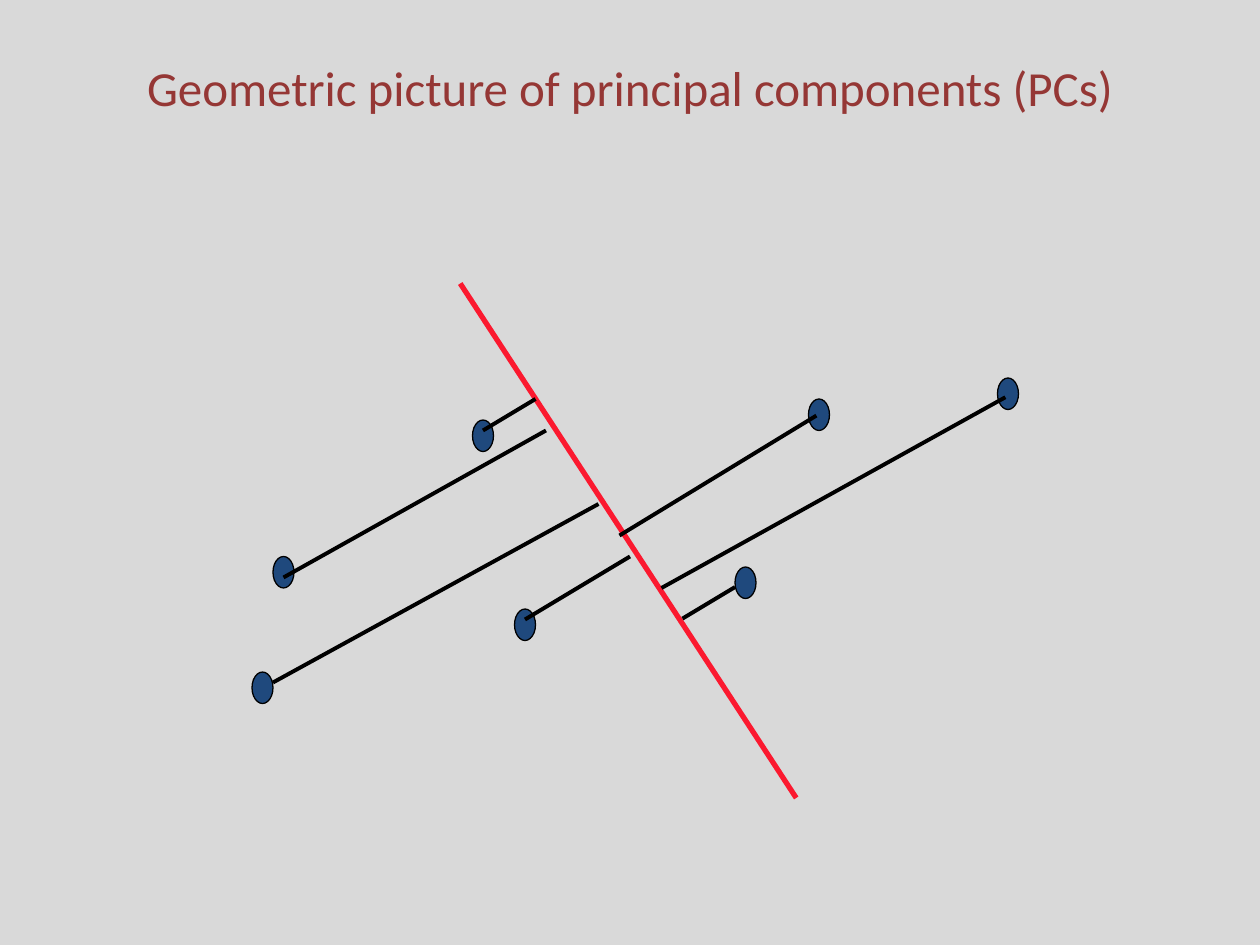
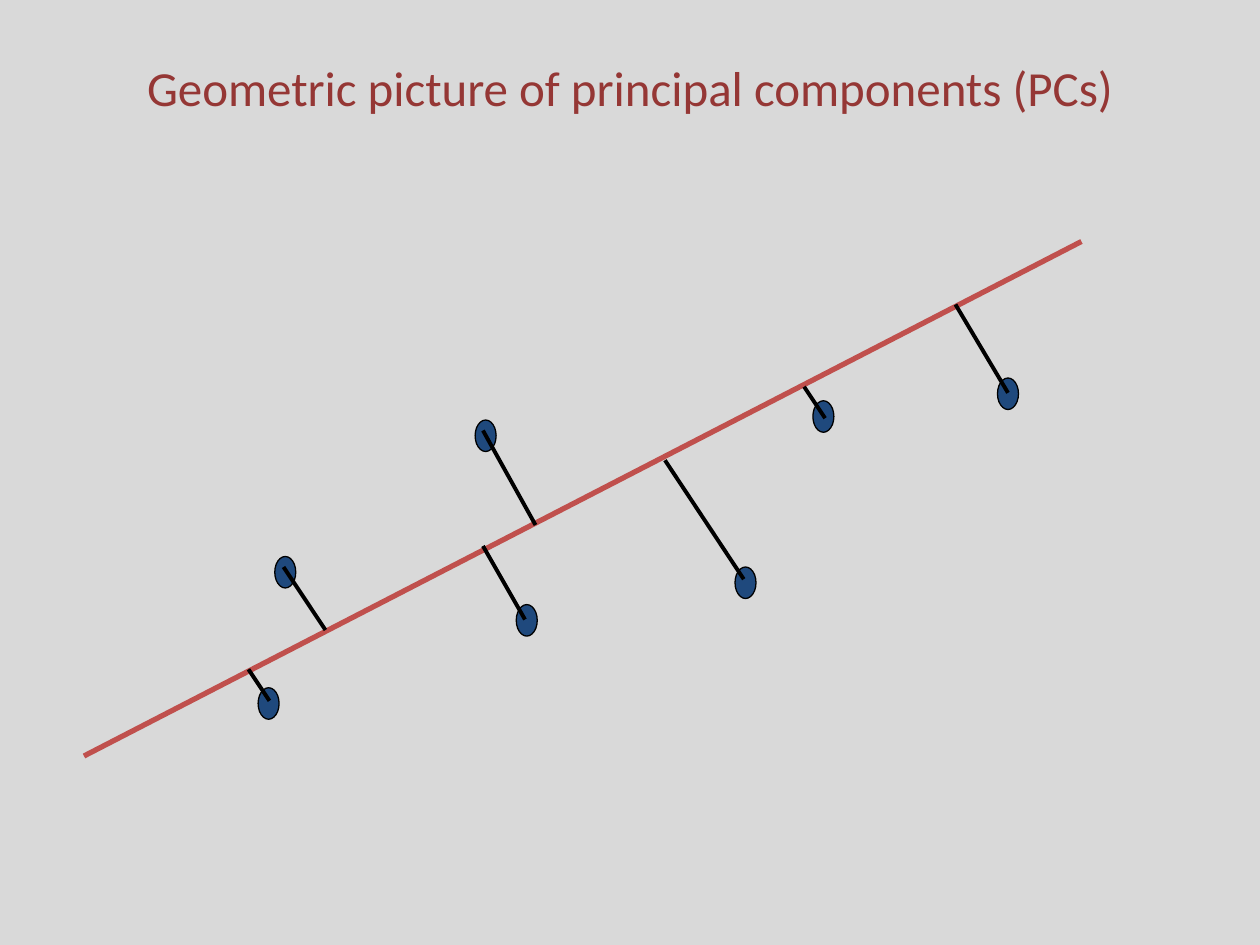
from lxml import etree
from pptx import Presentation
from pptx.dml.color import RGBColor
from pptx.enum import shapes, text
from pptx.oxml import ns
from pptx.util import Pt

HUES = {"back": "D9D9D9", "title": "953735", "dot": "1F497D",
        "ink": "000000", "minor": "FB192F", "major": "C0504D"}
TITLE = "Geometric picture of principal components (PCs)"
HEAD = (36, 21.6, 648, 90)   # left, top, width, height
PLOT = (48, 138, 570, 318)
DOT = (12, 18)

# Each axis is a start and an end. Each point is the centre of its dot,
# the foot of its line on the axis, and the line's end at the dot.
VIEWS = [
    {"hue": "minor", "axis": ((215, 24), (407, 318)), "points": [
        ((528, 87), (330, 198), (526.5, 89)),
        ((114, 189), (264, 108), (114, 192)),
        ((102, 255), (294, 150), (108, 252)),
        ((252, 219), (312, 180), (252, 216)),
        ((228, 111), (258, 90), (228, 108)),
        ((378, 195), (342, 215.5), (372, 197.5)),
        ((420, 99), (306, 168), (418.5, 99.5))]},
    {"hue": "major", "axis": ((0, 294), (570, 0)), "points": [
        ((528, 87), (498, 36), (528, 86.5)),
        ((115, 189), (138, 222), (114, 186)),
        ((105.5, 264), (94, 244.5), (106, 262.5)),
        ((253, 216.5), (228, 174), (252, 216)),
        ((229.5, 111), (258, 162), (228, 108)),
        ((378, 195), (332, 125), (377, 193)),
        ((422.5, 100), (411.5, 83), (423.5, 101))]},
]


def color(name):
    """Return the named colour."""
    return RGBColor.from_string(HUES[name])


def assign(item, form):
    """Set attributes of item from a dict of format values."""
    for key, value in form.items():
        setattr(item, key, value)


def add_title(slide, box):
    """Write the title in the upper part of its box."""
    frame = slide.shapes.add_textbox(*map(Pt, box)).text_frame
    assign(frame, {"word_wrap": True, "margin_bottom": Pt(37.5),
                   "vertical_anchor": text.MSO_ANCHOR.MIDDLE})
    para = frame.paragraphs[0]
    assign(para, {"text": TITLE, "alignment": text.PP_ALIGN.CENTER})
    assign(para.font, {"name": "Calibri", "size": Pt(28)})
    para.font.color.rgb = color("title")


def add_dot(slide, box, mid):
    """Draw a data point centred at mid within the box."""
    place = [box[i] + mid[i] - DOT[i] / 2 for i in (0, 1)]
    dot = slide.shapes.add_shape(shapes.MSO_SHAPE.OVAL,
                                 *map(Pt, (*place, *DOT)))
    dot.shadow.inherit = False
    dot.fill.solid()
    dot.fill.fore_color.rgb = color("dot")
    dot.line.color.rgb = color("ink")
    dot.line.width = Pt(0.75)


def add_line(slide, box, ends, hue, width):
    """Draw a straight line between two places in the box."""
    spots = [Pt(box[i] + end[i]) for end in ends for i in (0, 1)]
    line = slide.shapes.add_connector(shapes.MSO_CONNECTOR.STRAIGHT, *spots)
    line.line.color.rgb = color(hue)
    line.line.width = Pt(width)
    etree.SubElement(line._element.spPr, ns.qn("a:effectLst"))


def add_plot(slide, box, view):
    """Draw the points, the component axis and the projections."""
    for mid, _, _ in view["points"]:
        add_dot(slide, box, mid)
    add_line(slide, box, view["axis"], view["hue"], 3)
    for _, foot, end in view["points"]:
        add_line(slide, box, (foot, end), "ink", 2.25)


def add_slide(deck, view):
    """Add one slide with its background, title and plot."""
    slide = deck.slides.add_slide(deck.slide_layouts[6])
    fill = slide.background.fill
    fill.solid()
    fill.fore_color.rgb = color("back")
    add_title(slide, HEAD)
    add_plot(slide, PLOT, view)


deck = Presentation()
assign(deck, {"slide_width": Pt(720), "slide_height": Pt(540)})
for view in VIEWS:
    add_slide(deck, view)
deck.save("out.pptx")
